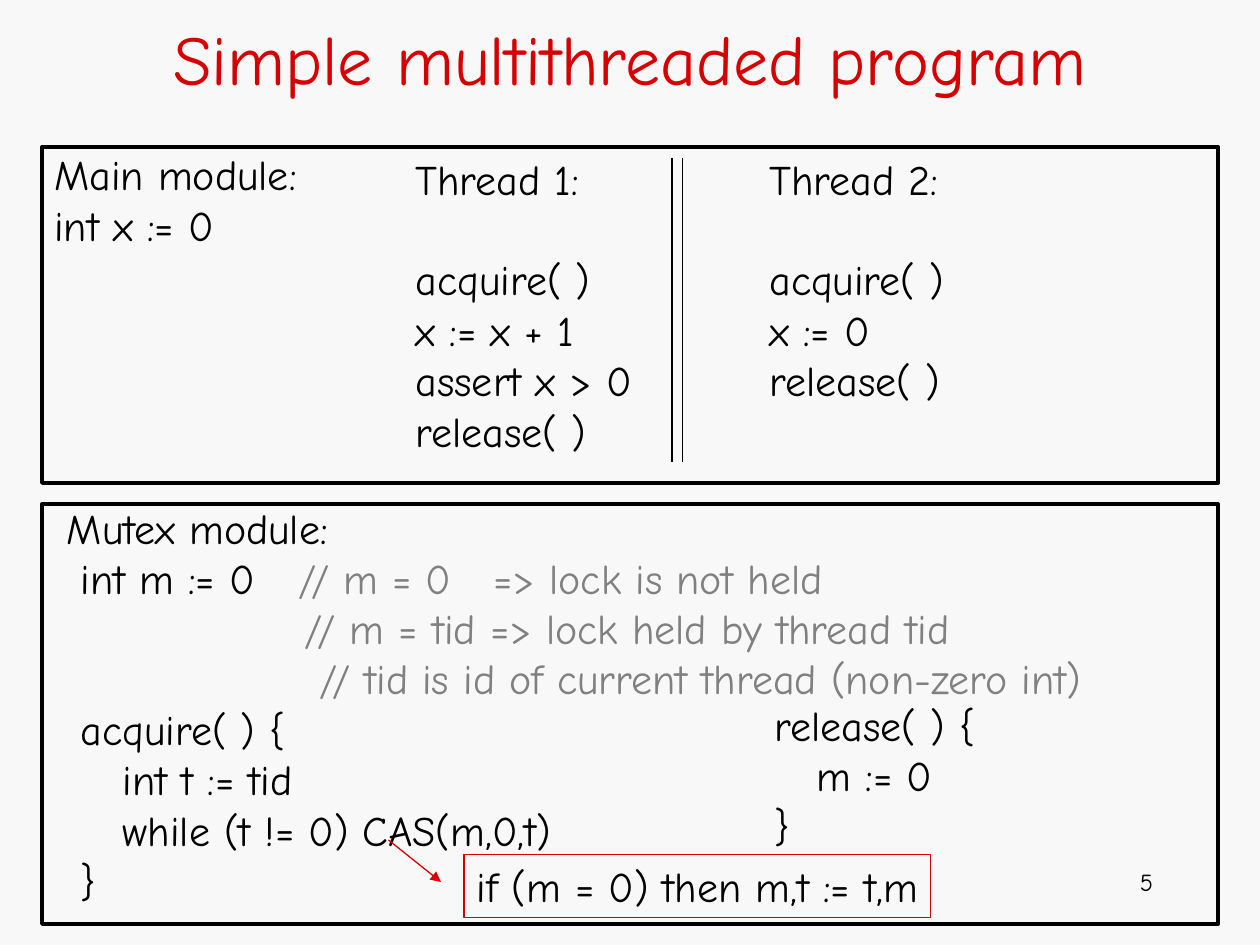
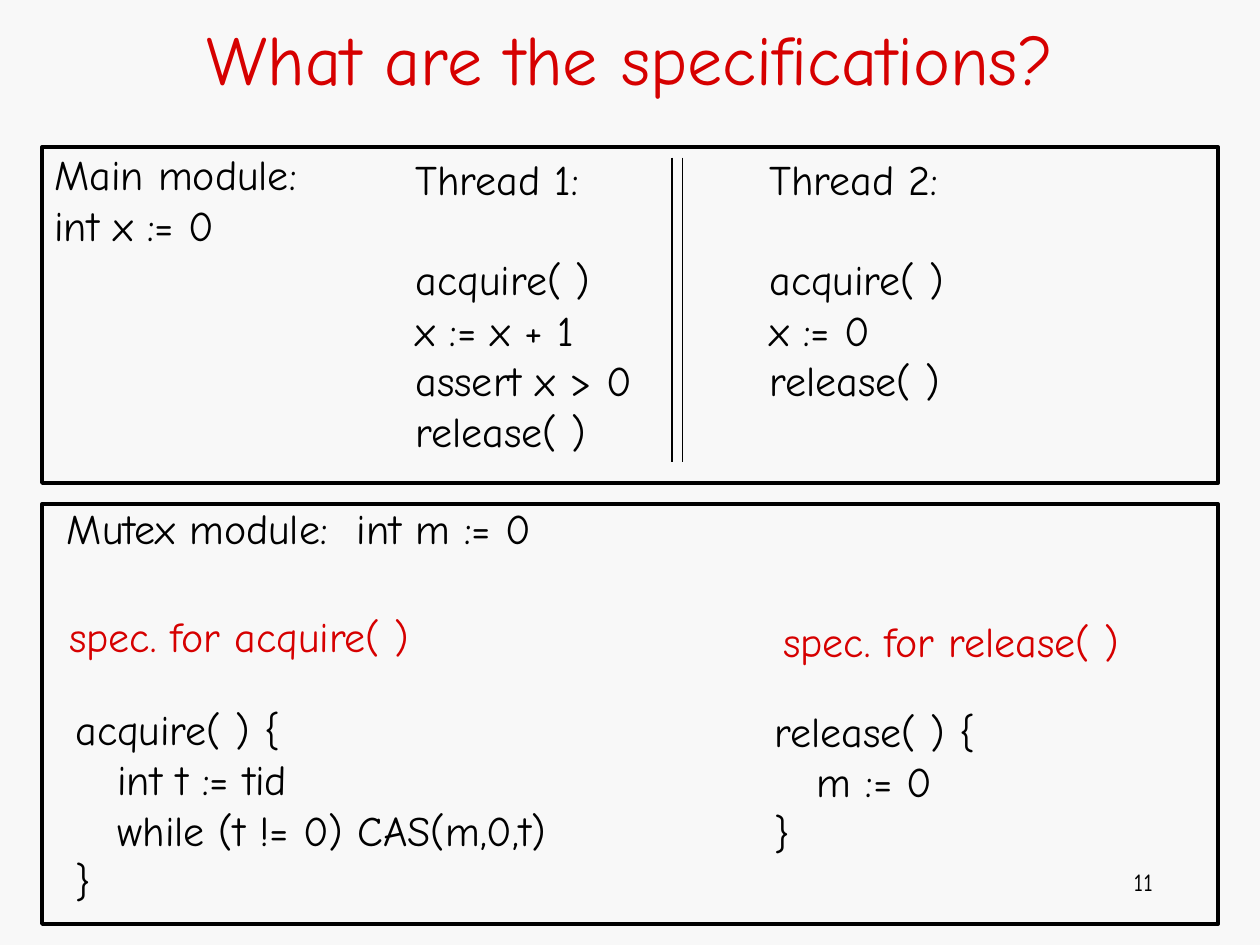
"""Build two slides that show a multithreaded program and its mutex module."""
import dataclasses
import typing

import lxml.etree
import pptx
import pptx.dml.color
import pptx.enum.shapes
import pptx.enum.text
import pptx.oxml.ns
import pptx.util

RGB = pptx.dml.color.RGBColor.from_string
Pt = pptx.util.Pt
qn = pptx.oxml.ns.qn
ALIGN = pptx.enum.text.PP_ALIGN


@dataclasses.dataclass(frozen=True)
class Theme:
    font: str = "Comic Neue"
    paper: str = "F8F8F8"
    ink: str = "000000"
    accent: str = "D60000"
    comment: str = "808080"
    title_size: float = 40
    body_size: float = 24
    number_size: float = 14
    line_height: float = 28.8
    thin: float = 0.75
    thick: float = 2.25


@dataclasses.dataclass(frozen=True)
class Area:
    col: float
    row: float
    cols: float
    rows: float


class Run(typing.NamedTuple):
    text: str
    color: str


@dataclasses.dataclass(frozen=True)
class Line:
    runs: tuple[Run, ...]
    indent: float = 0
    tabs: tuple[float, ...] = ()
    gap: bool = False


@dataclasses.dataclass(frozen=True)
class Block:
    col: float
    row: float
    cols: float
    lines: tuple[Line, ...]


THEME = Theme()
COLS, ROWS = 120, 90
SLIDE_W, SLIDE_H = pptx.util.Inches(10), pptx.util.Inches(7.5)
LINE_ROWS, INSET_ROWS = 4.8, 1.2


def x(cols: float) -> int:
    """Turn grid columns into a length."""
    return round(SLIDE_W * cols / COLS)


def y(rows: float) -> int:
    """Turn grid rows into a length."""
    return round(SLIDE_H * rows / ROWS)


def bounds(area: Area) -> tuple[int, int, int, int]:
    """Give left, top, width and height of an area."""
    return x(area.col), y(area.row), x(area.cols), y(area.rows)


def code(text: str, color: str = THEME.ink, **style) -> Line:
    """Make a line of one run."""
    return Line((Run(text, color),), **style)


TITLE = Area(9, -2, 102, 15)
NUMBER = Area(86, 82, 25, 6)
MODULES = (Area(4, 14, 112, 32), Area(4, 48, 112, 40))
DIVIDER_COLS, DIVIDER_ROWS = (64, 65), (15, 44)
CODE_INDENT = 4

ACQUIRE = (
    code("acquire( ) {"),
    code("int t := tid", indent=CODE_INDENT),
    code("while (t != 0) CAS(m,0,t)", indent=CODE_INDENT),
    code("}"),
)
RELEASE = (code("release( ) {"), code("m := 0", indent=CODE_INDENT), code("}"))
MAIN_MODULE = (
    Block(4, 13.6, 29.4, (code("Main module:"), code("int x := 0"))),
    Block(38.4, 14, 23, (
        code("Thread 1:"), code("acquire( )", gap=True), code("x := x + 1"),
        code("assert x > 0"), code("release( )"))),
    Block(72.1, 14, 19, (
        code("Thread 2:"), code("acquire( )", gap=True), code("x := 0"),
        code("release( )"))),
)
LOCK_STATES = (
    Line((Run("int m := 0", THEME.ink),
          Run("\t// m = 0\t=> lock is not held", THEME.comment)), tabs=(20.7, 39.3)),
    code("// m = tid => lock held by thread tid", THEME.comment, indent=21.3),
    code("// tid is id of current thread (non-zero int)", THEME.comment, indent=22.7),
)
PROGRAM = (
    Block(5.2, 47.3, 27.4, (code("Mutex module:"),)),
    Block(6.5, 52, 98.5, LOCK_STATES + ACQUIRE),
    Block(72.6, 66, 21.5, RELEASE),
)
SPECIFICATIONS = (
    Block(5.2, 47.3, 50.6, (code("Mutex module:\tint m := 0", tabs=(27.6,)),)),
    Block(5.4, 57.6, 35, (code("spec. for acquire( )", THEME.accent),)),
    Block(73.4, 58, 34.6, (code("spec. for release( )", THEME.accent),)),
    Block(6, 66.4, 47.2, ACQUIRE),
    Block(72.6, 66.6, 21.5, RELEASE),
)
CAS_MEANING = Block(44.2, 81.4, 44.4, (code("if (m = 0) then m,t := t,m"),))


def add_run(p, run: Run, size: float) -> None:
    """Add one styled run to a paragraph."""
    r = p.add_run()
    r.text = run.text
    r.font.name = THEME.font
    r.font.size = Pt(size)
    r.font.color.rgb = RGB(run.color)


def add_line(p, line: Line) -> None:
    """Fill a paragraph with a line of code."""
    p.alignment = ALIGN.LEFT
    if line.gap:
        p.space_before = Pt(THEME.line_height)
    pPr = p._p.get_or_add_pPr()
    if line.indent:
        pPr.set("marL", str(x(line.indent)))
        pPr.set("indent", "0")
    if line.tabs:
        tabs = lxml.etree.SubElement(pPr, qn("a:tabLst"))
        for stop in line.tabs:
            lxml.etree.SubElement(tabs, qn("a:tab"), pos=str(x(stop)), algn="l")
    for run in line.runs:
        add_run(p, run, THEME.body_size)


def add_block(slide, block: Block):
    """Add a text box as tall as its lines."""
    count = len(block.lines) + sum(line.gap for line in block.lines)
    area = Area(block.col, block.row, block.cols, count * LINE_ROWS + INSET_ROWS)
    sp = slide.shapes.add_textbox(*bounds(area))
    tf = sp.text_frame
    tf.word_wrap = False
    tf.auto_size = pptx.enum.text.MSO_AUTO_SIZE.SHAPE_TO_FIT_TEXT
    for i, line in enumerate(block.lines):
        add_line(tf.add_paragraph() if i else tf.paragraphs[0], line)
    return sp


def set_outline(sp, color: str, width: float) -> None:
    """Give a shape its line colour and width."""
    sp.line.color.rgb = RGB(color)
    sp.line.width = Pt(width)


def add_frame(slide, area: Area) -> None:
    """Add the unfilled frame of a module."""
    sp = slide.shapes.add_shape(pptx.enum.shapes.MSO_SHAPE.RECTANGLE, *bounds(area))
    sp.shadow.inherit = False
    sp.fill.background()
    set_outline(sp, THEME.ink, THEME.thick)


def add_rule(slide, start: tuple[float, float], end: tuple[float, float], color: str):
    """Add a thin straight line between two grid points."""
    sp = slide.shapes.add_connector(
        pptx.enum.shapes.MSO_CONNECTOR.STRAIGHT,
        x(start[0]), y(start[1]), x(end[0]), y(end[1]))
    set_outline(sp, color, THEME.thin)
    lxml.etree.SubElement(sp._element.spPr, qn("a:effectLst"))
    return sp


def add_cas_meaning(slide) -> None:
    """Add the boxed meaning of CAS and its arrow."""
    set_outline(add_block(slide, CAS_MEANING), THEME.accent, THEME.thin)
    arrow = add_rule(slide, (37, 80), (42, 84), THEME.accent)
    lxml.etree.SubElement(arrow.line._get_or_add_ln(), qn("a:tailEnd"), type="triangle")


def add_slide(prs, title: str, number: int, mutex_module: tuple[Block, ...]):
    """Add a slide with title, both modules and page number."""
    slide = prs.slides.add_slide(prs.slide_layouts[5])
    sp = slide.shapes.title
    sp.left, sp.top, sp.width, sp.height = bounds(TITLE)
    tf = sp.text_frame
    tf.vertical_anchor = pptx.enum.text.MSO_ANCHOR.MIDDLE
    tf.paragraphs[0].alignment = ALIGN.CENTER
    add_run(tf.paragraphs[0], Run(title, THEME.accent), THEME.title_size)
    for area in MODULES:
        add_frame(slide, area)
    for col in DIVIDER_COLS:
        add_rule(slide, (col, DIVIDER_ROWS[0]), (col, DIVIDER_ROWS[1]), THEME.ink)
    for block in MAIN_MODULE + mutex_module:
        add_block(slide, block)
    tf = slide.shapes.add_textbox(*bounds(NUMBER)).text_frame
    tf.word_wrap = True
    tf.paragraphs[0].alignment = ALIGN.RIGHT
    add_run(tf.paragraphs[0], Run(str(number), THEME.ink), THEME.number_size)
    return slide


def main() -> None:
    """Build and save the presentation."""
    prs = pptx.Presentation()
    prs.slide_width, prs.slide_height = SLIDE_W, SLIDE_H
    fill = prs.slide_master.background.fill
    fill.solid()
    fill.fore_color.rgb = RGB(THEME.paper)
    slide = add_slide(prs, "Simple multithreaded program", 5, PROGRAM)
    add_cas_meaning(slide)
    add_slide(prs, "What are the specifications?", 11, SPECIFICATIONS)
    prs.save("out.pptx")


if __name__ == "__main__":
    main()
